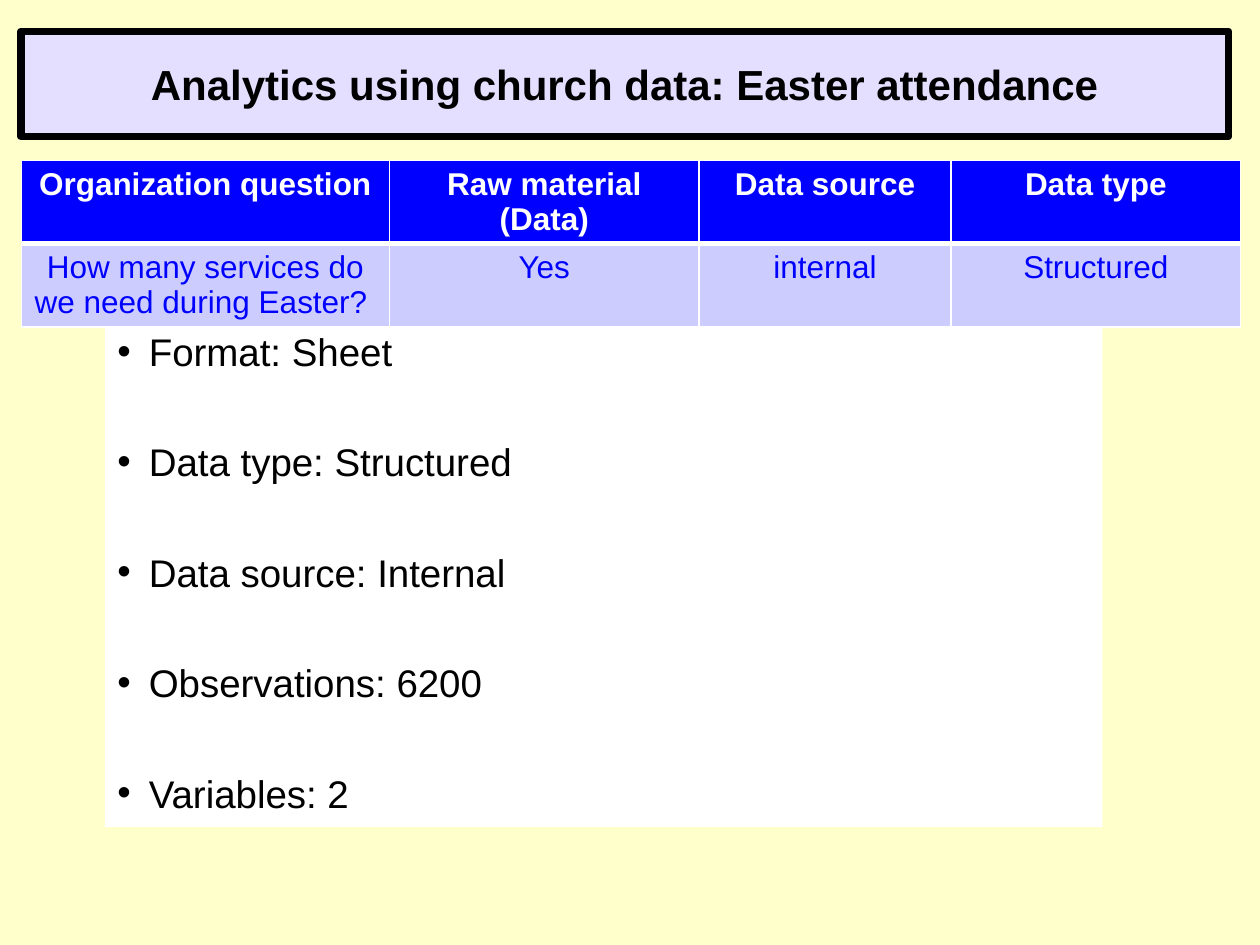
from lxml.etree import SubElement
from pptx import Presentation
from pptx.dml.color import RGBColor
from pptx.enum.shapes import MSO_SHAPE as Shape
from pptx.enum.text import MSO_ANCHOR as Anchor, MSO_AUTO_SIZE as Fit, PP_ALIGN as Align
from pptx.oxml.ns import qn
from pptx.util import Pt

# Content
TITLE = "Analytics using church data: Easter attendance"
ROWS = [
    ["Organization question", "Raw material (Data)", "Data source", "Data type"],
    ["How many services do we need during Easter? ", "Yes", "internal", "Structured"],
]
FACTS = ["Format: Sheet", "Data type: Structured", "Data source: Internal",
         "Observations: 6200", "Variables: 2"]

# Colours and format
CREAM = RGBColor(0xFF, 0xFF, 0xCC)
LILAC = RGBColor(0xE4, 0xDE, 0xFF)
PALE = RGBColor(0xCC, 0xCC, 0xFF)
BLUE = RGBColor(0x00, 0x00, 0xFF)
WHITE = RGBColor(0xFF, 0xFF, 0xFF)
BLACK = RGBColor(0x00, 0x00, 0x00)
HEAD = dict(size=Pt(18), bold=True, ink=WHITE, fill=BLUE)
BODY = dict(size=Pt(18), bold=False, ink=BLUE, fill=PALE)
COLS = [210.25, 177, 144, 165.5]
ROW_H = 47


def place(shape, left, top, width, height):
    box = dict(left=left, top=top, width=width, height=height)
    for key, val in box.items():
        setattr(shape, key, Pt(val))


def paint(part, color):
    part.fill.solid()
    part.fill.fore_color.rgb = color


def style(para, ink, **font):
    para.font.color.rgb = ink
    for key, val in dict(name="Arial", **font).items():
        setattr(para.font, key, val)


def edge(cell, widths):
    props = cell._tc.get_or_add_tcPr()
    for spot, (side, width) in enumerate(widths.items()):
        line = SubElement(props, qn("a:ln" + side), w=str(Pt(width)))
        SubElement(SubElement(line, qn("a:solidFill")), qn("a:srgbClr"), val=str(WHITE))
        props.insert(spot, line)


deck = Presentation()
deck.slide_width, deck.slide_height = Pt(720), Pt(540)
slide = deck.slides.add_slide(deck.slide_layouts[5])
paint(slide.background, CREAM)

# Title banner
title = slide.shapes.title
place(title, 12, 18, 690, 60)
paint(title, LILAC)
title.line.color.rgb, title.line.width = BLACK, Pt(4.5)
frame = title.text_frame
frame.text = TITLE
frame.auto_size, frame.vertical_anchor = Fit.NONE, Anchor.MIDDLE
frame.paragraphs[0].alignment = Align.CENTER
style(frame.paragraphs[0], BLACK, size=Pt(24), bold=True)

# Fact list
panel = slide.shapes.add_shape(Shape.RECTANGLE, Pt(60), Pt(187), Pt(570), Pt(285.5))
panel.shadow.inherit = False
paint(panel, WHITE)
panel.line.fill.background()
frame = panel.text_frame
frame.word_wrap, frame.vertical_anchor = True, Anchor.TOP
frame.margin_top = Pt(5.5)
for i, fact in enumerate(FACTS):
    para = frame.add_paragraph() if i else frame.paragraphs[0]
    para.text = fact
    para.alignment, para.line_spacing = Align.LEFT, 0.8
    para.space_before = Pt(42 if i else 0)
    props = para._p.get_or_add_pPr()
    props.set("marL", str(Pt(18)))
    props.set("indent", str(Pt(-18)))
    SubElement(props, qn("a:buFont"), typeface="Arial")
    SubElement(props, qn("a:buChar"), char="•")
    style(para, BLACK, size=Pt(22))

# Question table
table = slide.shapes.add_table(len(ROWS), len(COLS), Pt(12.25), Pt(91.75),
                               Pt(sum(COLS)), Pt(ROW_H * len(ROWS))).table
for col, width in zip(table.columns, COLS):
    col.width = Pt(width)
for r, row in enumerate(ROWS):
    table.rows[r].height = Pt(ROW_H)
    look = dict(BODY if r else HEAD)
    fill = look.pop("fill")
    for c, text in enumerate(row):
        cell = table.cell(r, c)
        cell.text = text
        paint(cell, fill)
        edge(cell, dict(L=1, R=1, T=3 if r else 1, B=1 if r else 3))
        para = cell.text_frame.paragraphs[0]
        para.alignment = Align.CENTER
        style(para, **look)

deck.save("out.pptx")
